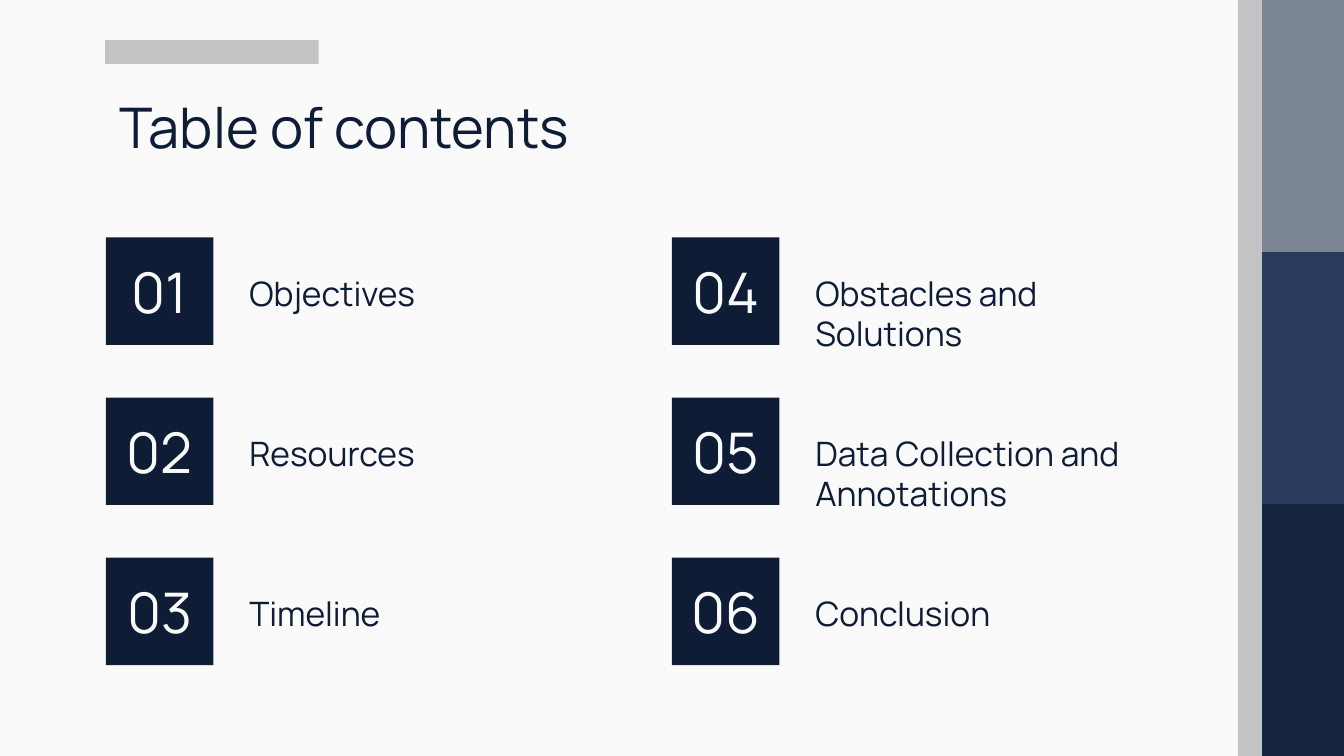
from pptx import Presentation
from pptx.dml.color import RGBColor
from pptx.enum.shapes import MSO_SHAPE
from pptx.enum.text import MSO_ANCHOR, PP_ALIGN
from pptx.util import Pt

BACKGROUND = RGBColor(0xFA, 0xFA, 0xFA)
NAVY = RGBColor(0x0E, 0x1D, 0x35)
GREY = RGBColor(0xC3, 0xC3, 0xC3)
BAND_COLORS = [
    RGBColor(0x7C, 0x85, 0x94),
    RGBColor(0x2B, 0x3B, 0x5D),
    RGBColor(0x15, 0x25, 0x3F),
]
FONT = "Manrope"
WIDTH, HEIGHT = 720, 405
TOPICS = [
    "Objectives",
    "Resources",
    "Timeline",
    "Obstacles and Solutions",
    "Data Collection and Annotations",
    "Conclusion",
]


def add_rectangle(slide, left, top, width, height, color):
    shape = slide.shapes.add_shape(
        MSO_SHAPE.RECTANGLE, Pt(left), Pt(top), Pt(width), Pt(height))
    shape.shadow.inherit = False
    shape.fill.solid()
    shape.fill.fore_color.rgb = color
    shape.line.fill.background()
    return shape


def write_text(shape, text, size=18, color=NAVY, align=PP_ALIGN.LEFT,
               anchor=MSO_ANCHOR.TOP):
    frame = shape.text_frame
    frame.word_wrap = True
    frame.vertical_anchor = anchor
    frame.margin_left = frame.margin_right = Pt(7.2)
    frame.margin_top = frame.margin_bottom = Pt(7.2)
    paragraph = frame.paragraphs[0]
    paragraph.alignment = align
    run = paragraph.add_run()
    run.text = text
    run.font.name = FONT
    run.font.size = Pt(size)
    run.font.color.rgb = color


def add_side_bands(slide, left, top, width, height):
    # Grey strip, then equal colour bands
    strip_width = 12.96
    add_rectangle(slide, left, top, strip_width, height, GREY)
    band_height = height / len(BAND_COLORS)
    for index, color in enumerate(BAND_COLORS):
        add_rectangle(slide, left + strip_width, top + index * band_height,
                      width - strip_width, band_height, color)


def add_heading(slide, left, top, width, height):
    # Accent bar above the title
    add_rectangle(slide, left - 0.5, top, 114.4, 12.8, GREY)
    title = slide.shapes.title
    title.left, title.top = Pt(left), Pt(top + 21)
    title.width, title.height = Pt(width), Pt(height - 21)
    write_text(title, "Table of contents", size=30)


def add_topic(slide, number, topic, left, top, width, height):
    # Number tile
    tile = add_rectangle(slide, left, top, height, height, NAVY)
    write_text(tile, f"{number:02}", size=30, color=BACKGROUND,
               align=PP_ALIGN.CENTER, anchor=MSO_ANCHOR.MIDDLE)
    # Topic name
    text_left = height + 12.1
    label = slide.shapes.add_textbox(
        Pt(left + text_left), Pt(top + 11.6),
        Pt(width - text_left), Pt(height - 11.6))
    write_text(label, topic)


def add_topics(slide, left, top, width, height):
    # Two columns of three, numbered down each column
    rows, tile_size, column_step = 3, 57.6, 303.2
    row_step = (height - tile_size) / (rows - 1)
    for index, topic in enumerate(TOPICS):
        column, row = divmod(index, rows)
        add_topic(slide, index + 1, topic, left + column * column_step,
                  top + row * row_step, width - column_step, tile_size)


def main():
    presentation = Presentation()
    presentation.slide_width, presentation.slide_height = Pt(WIDTH), Pt(HEIGHT)
    slide = presentation.slides.add_slide(presentation.slide_layouts[5])
    slide.background.fill.solid()
    slide.background.fill.fore_color.rgb = BACKGROUND

    add_side_bands(slide, 663.2, 0, WIDTH - 663.2, HEIGHT)
    add_heading(slide, 56.8, 21.5, 607, 66.4)
    add_topics(slide, 56.8, 127.2, 572.4, 229.2)
    presentation.save("out.pptx")


if __name__ == "__main__":
    main()
